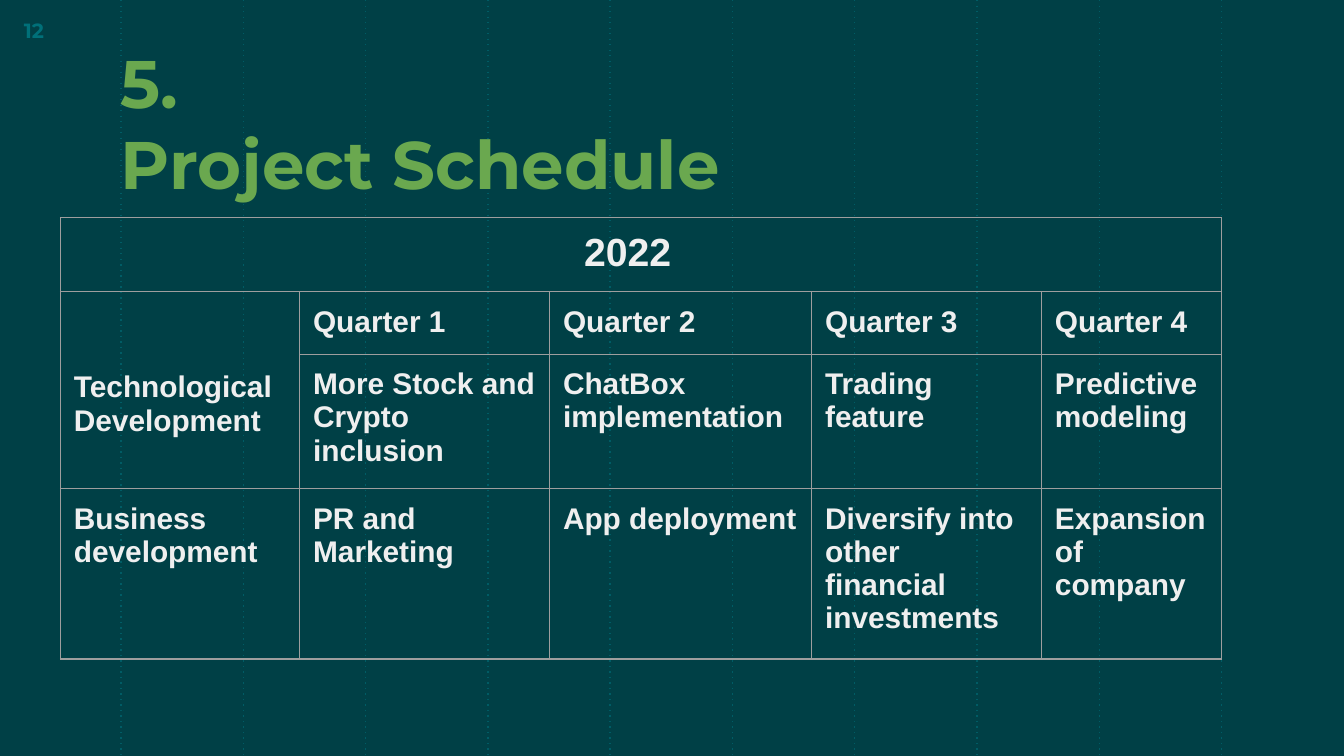
"""Build the project schedule slide."""
from dataclasses import dataclass

from lxml import etree
from pptx import Presentation
from pptx.dml.color import RGBColor
from pptx.enum.shapes import MSO_CONNECTOR
from pptx.enum.text import MSO_ANCHOR, PP_ALIGN
from pptx.oxml.ns import qn
from pptx.util import Inches, Pt

STRAIGHT = MSO_CONNECTOR.STRAIGHT
TOP, BOTTOM = MSO_ANCHOR.TOP, MSO_ANCHOR.BOTTOM
LEFT, CENTER = PP_ALIGN.LEFT, PP_ALIGN.CENTER
DARK = RGBColor(0x00, 0x40, 0x46)
TEAL = RGBColor(0x00, 0x5C, 0x65)
CYAN = RGBColor(0x00, 0x70, 0x79)
GREEN = RGBColor(0x6A, 0xA8, 0x4F)
PALE = RGBColor(0xEF, 0xEF, 0xEF)
GREY = RGBColor(0x9E, 0x9E, 0x9E)
WIDE = 10
HIGH = WIDE * 9 / 16
START, STEP, COUNT = 0.9, 0.91, 10
INSET = 0.1
COLS = (1.78, 1.86, 1.95, 1.71, 1.34)
ROWS = (0.55, 0.46, 0.99, 1)


@dataclass(frozen=True)
class Font:
    name: str
    size: float
    color: RGBColor


@dataclass(frozen=True)
class Label:
    lines: tuple[str, ...]
    left: float
    top: float
    width: float
    height: float
    font: Font
    anchor: MSO_ANCHOR


@dataclass(frozen=True)
class Entry:
    row: int
    col: int
    text: str
    rows: int = 1
    cols: int = 1
    top: float = INSET
    right: float = INSET
    size: float = 16
    align: PP_ALIGN = LEFT


LABELS = (
    Label(("5.", "Project Schedule"), 0.8, 0.85, 6.47, 0.76,
          Font("Montserrat", 36, GREEN), BOTTOM),
    Label(("12",), 0.08, 0.04, 0.6, 0.4, Font("Montserrat", 11, CYAN), TOP),
)
BODY = (
    ("Quarter 1", "Quarter 2", "Quarter 3", "Quarter 4"),
    ("More Stock and Crypto inclusion", "ChatBox implementation",
     "Trading feature", "Predictive modeling"),
    ("PR and Marketing", "App deployment",
     "Diversify into other financial investments", "Expansion of company"),
)
ENTRIES = (
    Entry(0, 0, "2022", cols=5, right=0.3, size=21, align=CENTER),
    Entry(1, 0, "Technological Development", rows=2, top=0.59),
    Entry(3, 0, "Business development"),
    *(Entry(row, col, text) for row, line in enumerate(BODY, 1)
      for col, text in enumerate(line, 1)),
)


def add_run(para, text: str, font: Font) -> None:
    """Add one bold run."""
    run = para.add_run()
    run.text = text
    run.font.name = font.name
    run.font.size = Pt(font.size)
    run.font.bold = True
    run.font.color.rgb = font.color


def add_guide(slide, x: float) -> None:
    """Draw one dotted upright line."""
    guide = slide.shapes.add_connector(
        STRAIGHT, Inches(x), 0, Inches(x), Inches(HIGH))
    guide.line.color.rgb = TEAL
    guide.line.width = Pt(0.75)
    props = guide._element.spPr
    etree.SubElement(props.find(qn("a:ln")), qn("a:prstDash"), val="dot")
    etree.SubElement(props, qn("a:effectLst"))


def add_label(slide, label: Label) -> None:
    """Draw one text box."""
    box = slide.shapes.add_textbox(
        *map(Inches, (label.left, label.top, label.width, label.height)))
    frame = box.text_frame
    frame.word_wrap = True
    frame.vertical_anchor = label.anchor
    frame.margin_left = frame.margin_right = Inches(INSET)
    frame.margin_top = frame.margin_bottom = Inches(INSET)
    for i, text in enumerate(label.lines):
        para = frame.add_paragraph() if i else frame.paragraphs[0]
        add_run(para, text, label.font)


def style_cell(cell) -> None:
    """Clear the fill, set the insets and draw the four borders."""
    cell.fill.background()
    cell.margin_left = cell.margin_right = Inches(INSET)
    cell.margin_top = cell.margin_bottom = Inches(INSET)
    props = cell._tc.get_or_add_tcPr()
    for i, side in enumerate("LRTB"):
        edge = etree.Element(qn(f"a:ln{side}"), w=str(Pt(0.75)))
        fill = etree.SubElement(edge, qn("a:solidFill"))
        etree.SubElement(fill, qn("a:srgbClr"), val=str(GREY))
        props.insert(i, edge)


def add_plan(slide) -> None:
    """Draw the schedule table."""
    table = slide.shapes.add_table(
        len(ROWS), len(COLS), Inches(0.45), Inches(1.62),
        Inches(sum(COLS)), Inches(sum(ROWS))).table
    table.first_row = table.horz_banding = False
    for col, width in zip(table.columns, COLS):
        col.width = Inches(width)
    for row, height in zip(table.rows, ROWS):
        row.height = Inches(height)
    for cell in table.iter_cells():
        style_cell(cell)
    for item in ENTRIES:
        cell = table.cell(item.row, item.col)
        if item.rows * item.cols > 1:
            cell.merge(table.cell(item.row + item.rows - 1,
                                  item.col + item.cols - 1))
        cell.margin_top, cell.margin_right = Inches(item.top), Inches(item.right)
        para = cell.text_frame.paragraphs[0]
        para.alignment = item.align
        add_run(para, item.text, Font("Arial", item.size, PALE))


def main() -> None:
    """Build and save the slide."""
    deck = Presentation()
    deck.slide_width, deck.slide_height = Inches(WIDE), Inches(HIGH)
    slide = deck.slides.add_slide(deck.slide_layouts[6])
    slide.background.fill.solid()
    slide.background.fill.fore_color.rgb = DARK
    for i in range(COUNT):
        add_guide(slide, START + i * STEP)
    for label in LABELS:
        add_label(slide, label)
    add_plan(slide)
    deck.save("out.pptx")


main()
